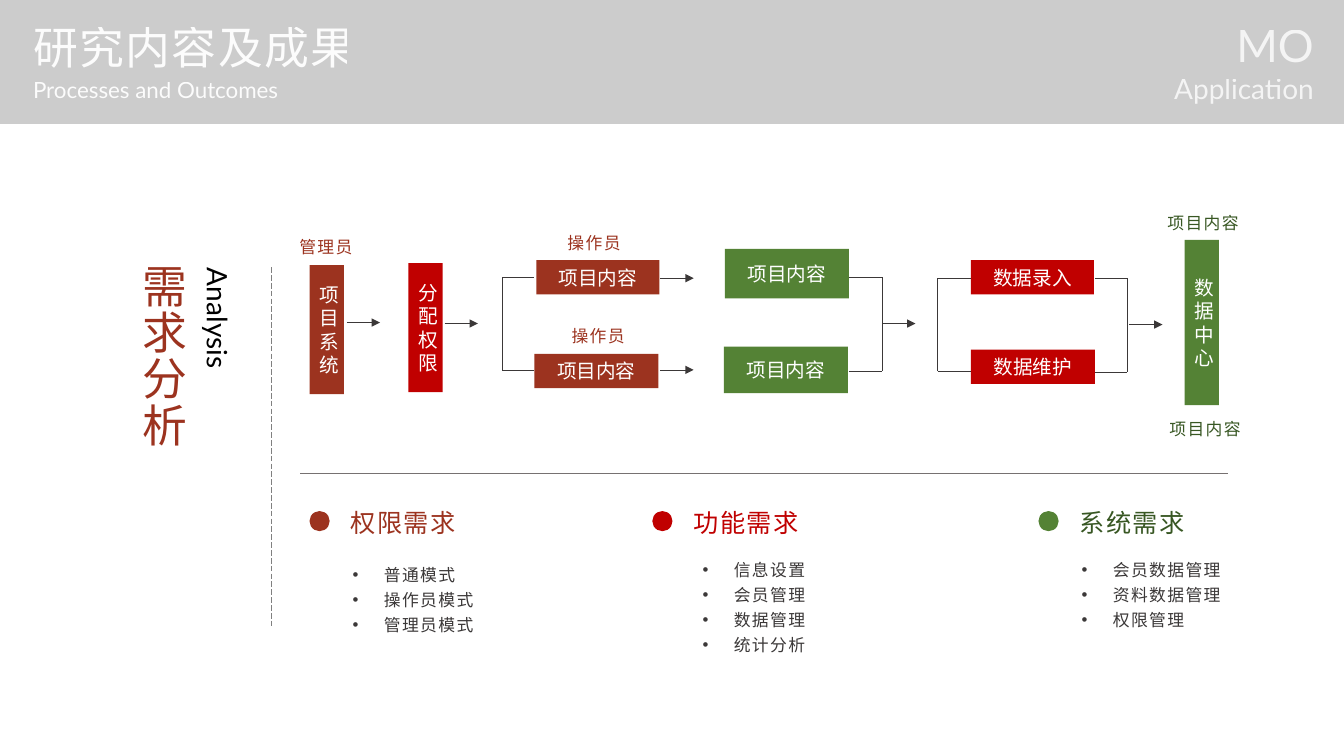
from dataclasses import dataclass

from lxml import etree
from pptx import Presentation
from pptx import util as u
from pptx.dml.color import RGBColor
from pptx.enum import dml, shapes, text
from pptx.oxml.ns import qn

Inches, Pt = u.Inches, u.Pt


@dataclass(frozen=True)
class Theme:
    font: str = "Lato"
    white: str = "FFFFFF"
    black: str = "000000"
    brown: str = "9C331F"
    red: str = "C00000"
    green: str = "548235"
    dark_green: str = "385723"
    ink: str = "3B3838"
    rule: str = "767171"
    dash: str = "808080"
    heading: int = 32
    subheading: int = 20
    caption: int = 16
    section: int = 18
    box: int = 14
    small: int = 12


THEME = Theme()


# Shared helpers
def set_alpha(element, percent):
    color = element.find(".//" + qn("a:srgbClr"))
    etree.SubElement(color, qn("a:alpha")).set("val", str(percent * 1000))


def write_text(frame, content, size, color, alpha=None, spacing=0, align=None,
               leading=None, bullet=False):
    """Fill a text frame with one paragraph for each line of content."""
    for number, line in enumerate(content.split("\n")):
        paragraph = frame.add_paragraph() if number else frame.paragraphs[0]
        if align is not None:
            paragraph.alignment = align
        if leading:
            paragraph.line_spacing = Pt(leading)
        if bullet:
            properties = paragraph._p.get_or_add_pPr()
            properties.set("marL", str(Inches(0.31)))
            properties.set("indent", str(-Inches(0.31)))
            etree.SubElement(properties, qn("a:buFont")).set("typeface", "Arial")
            etree.SubElement(properties, qn("a:buChar")).set("char", "•")
        run = paragraph.add_run()
        run.text = line
        run.font.name = THEME.font
        run.font.size = Pt(size)
        run.font.color.rgb = RGBColor.from_string(color)
        if alpha:
            set_alpha(run._r, alpha)
        if spacing:
            run._r.get_or_add_rPr().set("spc", str(spacing * 100))


def fit_frame(frame, vertical=False):
    frame.word_wrap = False
    frame.auto_size = text.MSO_AUTO_SIZE.SHAPE_TO_FIT_TEXT
    frame.vertical_anchor = text.MSO_ANCHOR.TOP
    if vertical:
        frame._txBody.bodyPr.set("vert", "eaVert")


def add_text(slide, box, content, size, color, vertical=False, **style):
    shape = slide.shapes.add_textbox(*map(Inches, box))
    fit_frame(shape.text_frame, vertical)
    write_text(shape.text_frame, content, size, color, **style)
    return shape


def add_block(slide, box, color, label="", kind=shapes.MSO_SHAPE.RECTANGLE):
    shape = slide.shapes.add_shape(kind, *map(Inches, box))
    shape.shadow.inherit = False
    shape.fill.solid()
    shape.fill.fore_color.rgb = RGBColor.from_string(color)
    shape.line.fill.background()
    if label:
        shape.text_frame.word_wrap = True
        shape.text_frame.vertical_anchor = text.MSO_ANCHOR.MIDDLE
        write_text(shape.text_frame, label, THEME.box, THEME.white,
                   align=text.PP_ALIGN.CENTER)
    return shape


def add_line(slide, start, end, color=THEME.ink, arrow=False, dashed=False):
    line = slide.shapes.add_connector(
        shapes.MSO_CONNECTOR.STRAIGHT, *map(Inches, (*start, *end)))
    line.line.color.rgb = RGBColor.from_string(color)
    line.line.width = Pt(0.5)
    if dashed:
        line.line.dash_style = dml.MSO_LINE.LONG_DASH
    if arrow:
        etree.SubElement(line.line._ln, qn("a:tailEnd")).set("type", "triangle")
    etree.SubElement(line._element.spPr, qn("a:effectLst"))


# Regions
def add_header(slide, left, top, width, height):
    band = add_block(slide, (left, top, width, height), THEME.black)
    set_alpha(band.fill._xPr, 20)

    title = slide.shapes.title
    band._element.addnext(title._element)
    title.left, title.top = Inches(left + 0.23), Inches(top + 0.15)
    title.width, title.height = Inches(3.44), Inches(0.64)
    fit_frame(title.text_frame)
    write_text(title.text_frame, "研究内容及成果", THEME.heading, THEME.white,
               alpha=95, spacing=1, align=text.PP_ALIGN.LEFT)
    add_text(slide, (left + 0.23, top + 0.71, 2.66, 0.37),
             "Processes and Outcomes", THEME.caption, THEME.white, alpha=95)

    corner = add_text(slide, (left + width - 1.81, top + 0.13, 1.61, 0.98),
                      "MO\nApplication", THEME.heading, THEME.white, alpha=80,
                      align=text.PP_ALIGN.RIGHT)
    corner.text_frame.paragraphs[1].runs[0].font.size = Pt(THEME.subheading)


def add_side_heading(slide, left, top, height):
    add_text(slide, (left, top, 0.74, 1.95), "需求分析", THEME.heading,
             THEME.brown, vertical=True, spacing=1)
    add_text(slide, (left + 0.64, top + 0.04, 0.54, 1.09), "Analysis",
             THEME.subheading, THEME.black, vertical=True)
    add_line(slide, (left + 1.49, top + 0.13), (left + 1.49, top + height),
             THEME.dash, dashed=True)


def add_bracket(slide, spine, branch, upper, lower):
    """Join two branch ends to a vertical spine."""
    add_line(slide, (spine, upper), (spine, lower))
    for y in (upper, lower):
        add_line(slide, (min(spine, branch), y), (max(spine, branch), y))


def add_flow(slide, left, top):
    blocks = [
        (0.2, 0.65, 0.34, 1.28, THEME.brown, "项目系统"),
        (1.18, 0.63, 0.34, 1.28, THEME.red, "分配权限"),
        (2.45, 0.6, 1.22, 0.34, THEME.brown, "项目内容"),
        (2.43, 1.53, 1.23, 0.34, THEME.brown, "项目内容"),
        (4.32, 0.49, 1.23, 0.49, THEME.green, "项目内容"),
        (4.31, 1.46, 1.23, 0.46, THEME.green, "项目内容"),
        (6.76, 0.6, 1.22, 0.34, THEME.red, "数据录入"),
        (6.76, 1.49, 1.23, 0.34, THEME.red, "数据维护"),
        (8.88, 0.4, 0.34, 1.64, THEME.green, "数据中心"),
    ]
    for x, y, width, height, color, label in blocks:
        add_block(slide, (left + x, top + y, width, height), color, label)

    labels = [
        (0, 0.24, 0.75, "管理员", THEME.brown),
        (2.66, 0.2, 0.75, "操作员", THEME.brown),
        (2.7, 1.12, 0.75, "操作员", THEME.brown),
        (8.61, 0, 0.93, "项目内容", THEME.dark_green),
        (8.63, 2.05, 0.93, "项目内容", THEME.dark_green),
    ]
    for x, y, width, label, color in labels:
        add_text(slide, (left + x, top + y, width, 0.36), label, THEME.small,
                 color, spacing=1, leading=20)

    arrows = [(0.57, 1.22), (1.54, 1.23), (3.68, 0.78), (3.68, 1.69),
              (5.88, 1.23), (8.33, 1.24)]
    for x, y in arrows:
        add_line(slide, (left + x, top + y), (left + x + 0.33, top + y), arrow=True)

    brackets = [(2.11, 2.43, 0.77, 1.69), (5.88, 5.55, 0.77, 1.7),
                (6.43, 6.76, 0.78, 1.7), (8.31, 7.99, 0.78, 1.71)]
    for spine, branch, upper, lower in brackets:
        add_bracket(slide, left + spine, left + branch, top + upper, top + lower)


def add_requirement(slide, left, top, heading, dot_color, text_color, items, list_box):
    x, y, width, height = list_box
    add_block(slide, (left, top + 0.09, 0.2, 0.2), dot_color,
              kind=shapes.MSO_SHAPE.OVAL)
    add_text(slide, (left + 0.31, top, 1.27, 0.4), heading, THEME.section,
             text_color, spacing=1)
    add_text(slide, (left + x, top + y, width, height), items, THEME.small,
             THEME.ink, spacing=1, leading=18, bullet=True)


def main():
    presentation = Presentation()
    presentation.slide_width, presentation.slide_height = Inches(13.33), Inches(7.5)
    slide = presentation.slides.add_slide(
        presentation.slide_layouts.get_by_name("Title Only"))

    add_header(slide, 0, 0, 13.33, 1.23)
    add_side_heading(slide, 1.2, 2.52, 3.7)
    add_flow(slide, 2.87, 1.98)
    add_line(slide, (2.98, 4.7), (12.18, 4.7), THEME.rule)

    requirements = [
        (3.07, "权限需求", THEME.brown, THEME.brown,
         "普通模式\n操作员模式\n管理员模式", (0.33, 0.52, 1.43, 0.84)),
        (6.47, "功能需求", THEME.red, THEME.red,
         "信息设置\n会员管理\n数据管理\n统计分析", (0.4, 0.47, 1.25, 1.09)),
        (10.3, "系统需求", THEME.green, THEME.dark_green,
         "会员数据管理\n资料数据管理\n权限管理", (0.33, 0.47, 1.61, 0.84)),
    ]
    for left, *details in requirements:
        add_requirement(slide, left, 4.98, *details)

    presentation.save("out.pptx")


if __name__ == "__main__":
    main()
